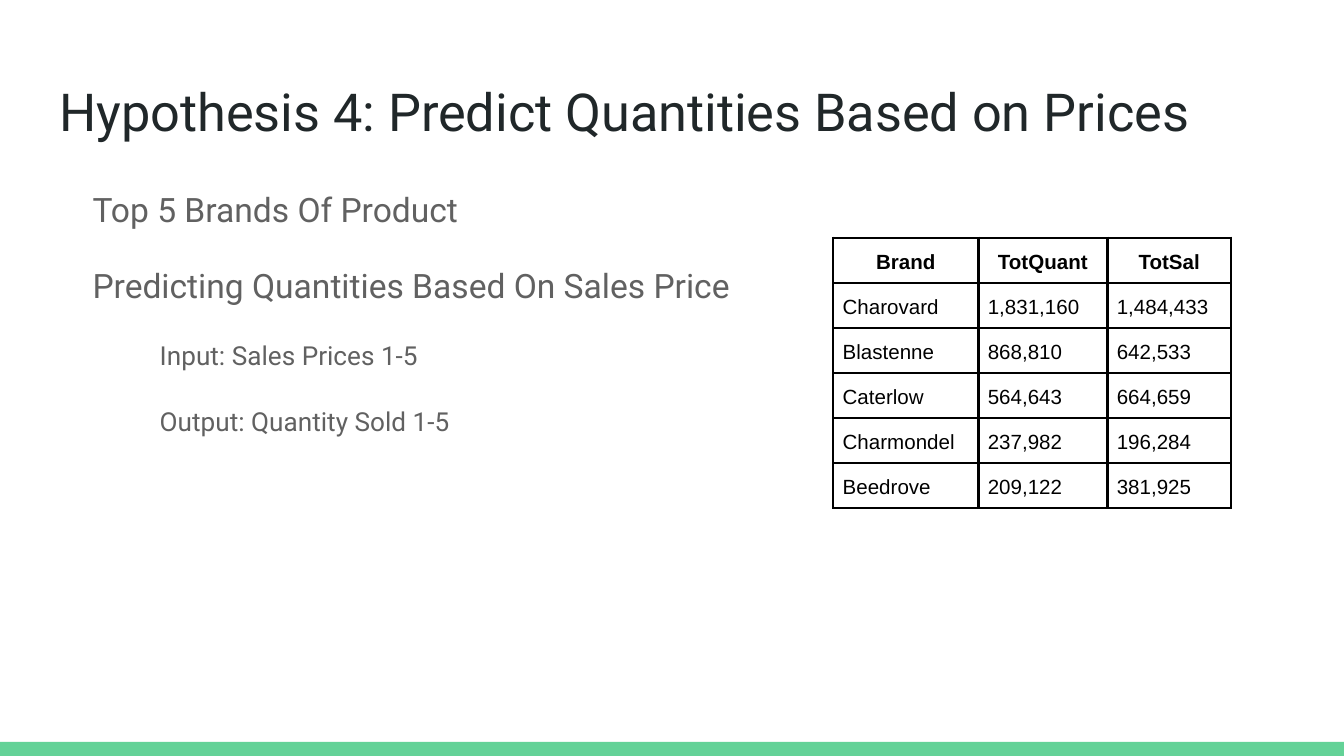
from dataclasses import dataclass

from lxml.etree import SubElement
from pptx import Presentation
from pptx.dml.color import RGBColor
from pptx.enum.shapes import MSO_SHAPE
from pptx.enum.text import MSO_ANCHOR, MSO_AUTO_SIZE, PP_ALIGN
from pptx.oxml.ns import qn
from pptx.util import Inches, Pt


@dataclass(frozen=True)
class Theme:
    """Colours, fonts and type sizes of the slide."""
    ink: str = "202729"
    grey: str = "616161"
    black: str = "000000"
    green: str = "63D297"
    sans: str = "Roboto"
    grid: str = "Arial"
    head: int = 28
    body: tuple = (18, 14)
    cell: int = 11
    rule: float = 1.5
    lead: float = 1.15
    gap: int = 16


@dataclass(frozen=True)
class Point:
    """One line of the body and its level."""
    text: str
    level: int = 0


T = Theme()
WIDE = 10
HIGH = WIDE * 9 / 16
LEFT, SPAN = 0.34, 9.32
FOOT = 5.52
PAD = 0.1
STEP = 0.5
HANG = 0.25
COLS = (1.08, 0.96, 0.92)
ROW = 0.33
INSET = 0.07

POINTS = (
    Point("Top 5 Brands Of Product"),
    Point("Predicting Quantities Based On Sales Price"),
    Point("Input: Sales Prices 1-5", 1),
    Point("Output: Quantity Sold 1-5", 1),
)
ROWS = (
    ("Brand", "TotQuant", "TotSal"),
    ("Charovard", "1,831,160", "1,484,433"),
    ("Blastenne", "868,810", "642,533"),
    ("Caterlow", "564,643", "664,659"),
    ("Charmondel", "237,982", "196,284"),
    ("Beedrove", "209,122", "381,925"),
)


def style(para, face: str, size: int, color: str, bold: bool = False) -> None:
    """Format every run of a paragraph."""
    for run in para.runs:
        font = run.font
        font.name, font.size, font.bold = face, Pt(size), bold
        font.color.rgb = RGBColor.from_string(color)


def setup(frame) -> None:
    """Give a text frame even margins, wrapping and a top anchor."""
    frame.word_wrap = True
    frame.auto_size = MSO_AUTO_SIZE.NONE
    frame.vertical_anchor = MSO_ANCHOR.TOP
    frame.margin_left = frame.margin_right = Inches(PAD)
    frame.margin_top = frame.margin_bottom = Inches(PAD)


def add_bar(slide) -> None:
    """Draw the band along the foot of the slide."""
    bar = slide.shapes.add_shape(
        MSO_SHAPE.RECTANGLE, 0, Inches(FOOT), Inches(WIDE), Inches(HIGH - FOOT))
    bar.shadow.inherit = False
    bar.fill.solid()
    bar.fill.fore_color.rgb = RGBColor.from_string(T.green)
    bar.line.fill.background()


def add_title(slide, text: str) -> None:
    """Place and fill the title."""
    title = slide.shapes.title
    title.left, title.top = Inches(LEFT), Inches(0.49)
    title.width, title.height = Inches(SPAN), Inches(0.63)
    frame = title.text_frame
    setup(frame)
    frame.text = text
    para = frame.paragraphs[0]
    para.alignment = PP_ALIGN.LEFT
    style(para, T.sans, T.head, T.ink)


def add_body(slide, points: tuple[Point, ...]) -> None:
    """Write the points, indented by level."""
    box = slide.shapes.add_textbox(
        Inches(LEFT), Inches(1.26), Inches(SPAN), Inches(3.74))
    frame = box.text_frame
    setup(frame)
    frame.text = "\n".join(point.text for point in points)
    for para, point in zip(frame.paragraphs, points):
        para.level = point.level
        para.line_spacing, para.space_after = T.lead, Pt(T.gap)
        props = para._p.get_or_add_pPr()
        props.set("marL", str(Inches(STEP * (point.level + 1))))
        props.set("indent", str(-Inches(HANG)))
        style(para, T.sans, T.body[point.level], T.grey)


def add_edges(cell) -> None:
    """Rule all four sides of a cell."""
    props = cell._tc.get_or_add_tcPr()
    for spot, side in enumerate(("lnL", "lnR", "lnT", "lnB")):
        line = SubElement(props, qn(f"a:{side}"), w=str(Pt(T.rule)))
        fill = SubElement(line, qn("a:solidFill"))
        SubElement(fill, qn("a:srgbClr"), val=T.black)
        props.insert(spot, line)


def add_grid(slide, rows: tuple[tuple[str, ...], ...]) -> None:
    """Build the table of brand totals."""
    table = slide.shapes.add_table(
        len(rows), len(COLS), Inches(6.2), Inches(1.77),
        Inches(sum(COLS)), Inches(ROW * len(rows))).table
    table.first_row = table.horz_banding = False
    for col, width in zip(table.columns, COLS):
        col.width = Inches(width)
    for r, row in enumerate(rows):
        for c, text in enumerate(row):
            cell = table.cell(r, c)
            cell.text_frame.text = text
            cell.fill.background()
            cell.margin_left = cell.margin_right = Inches(INSET)
            cell.margin_top = cell.margin_bottom = Inches(INSET)
            para = cell.text_frame.paragraphs[0]
            para.line_spacing = T.lead
            para.alignment = PP_ALIGN.LEFT if r else PP_ALIGN.CENTER
            style(para, T.grid, T.cell, T.black, bold=r == 0)
            add_edges(cell)


def main() -> None:
    """Build and save the slide."""
    deck = Presentation()
    deck.slide_width, deck.slide_height = Inches(WIDE), Inches(HIGH)
    slide = deck.slides.add_slide(deck.slide_layouts.get_by_name("Title Only"))
    add_bar(slide)
    add_title(slide, "Hypothesis 4: Predict Quantities Based on Prices")
    add_body(slide, POINTS)
    add_grid(slide, ROWS)
    deck.save("out.pptx")


main()
